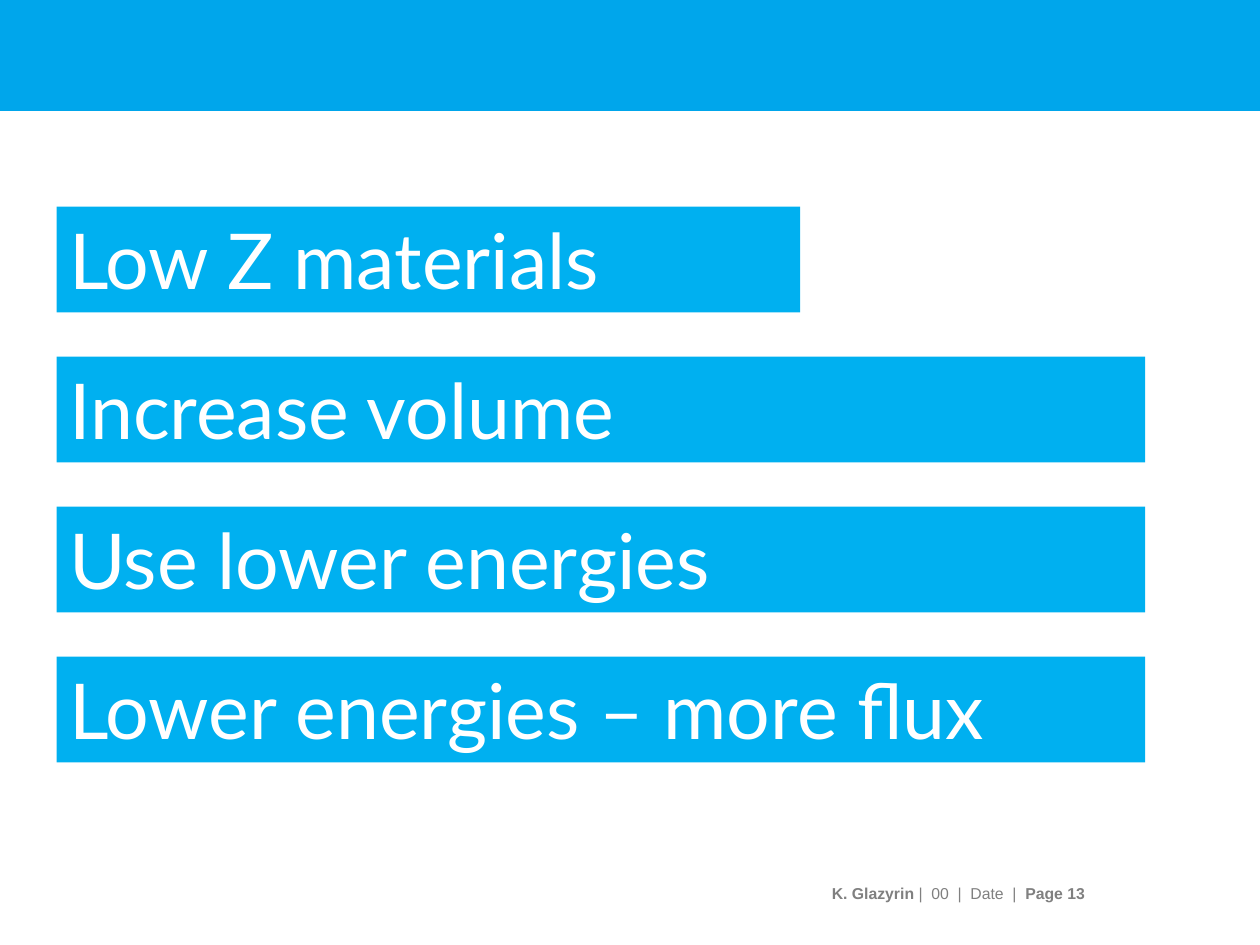
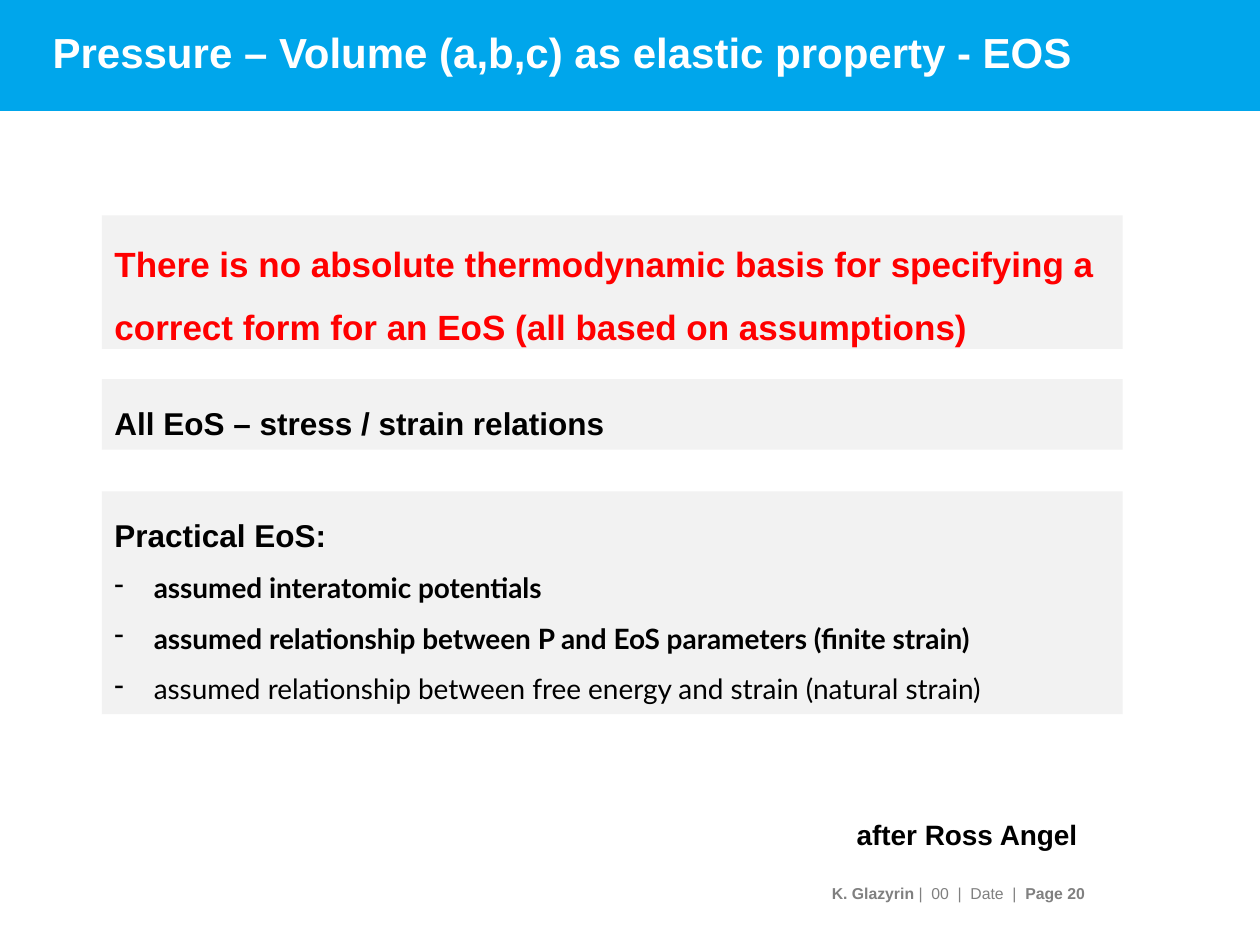
import pptx
import pptx.dml.color
import pptx.enum.shapes
import pptx.enum.text
import pptx.oxml.ns
import pptx.util
from lxml import etree

Pt = pptx.util.Pt
RGB = pptx.dml.color.RGBColor
RECT = pptx.enum.shapes.MSO_SHAPE.RECTANGLE
ANCHOR = pptx.enum.text.MSO_ANCHOR
ALIGN = pptx.enum.text.PP_ALIGN

BAND = RGB(0x00, 0xA6, 0xEB)
SKY = RGB(0x00, 0xB0, 0xF0)
PALE = RGB(0xF2, 0xF2, 0xF2)
GRAY = RGB(0x80, 0x80, 0x80)
RED = RGB(0xFF, 0x00, 0x00)
BLACK = RGB(0x00, 0x00, 0x00)
WHITE = RGB(0xFF, 0xFF, 0xFF)

# Font formats
TITLE = dict(name="Arial", size=Pt(24), bold=True, color=WHITE)
FOOT = dict(name="Arial", size=Pt(9), bold=True, color=GRAY)
STEP = dict(name="Lato", size=Pt(44), bold=False, color=WHITE)
CLAIM = dict(name="Arial", size=Pt(20), bold=True, color=RED)
HEAD = dict(name="Arial", size=Pt(18), bold=True, color=BLACK)
ITEM = dict(name="Lato", size=Pt(16), bold=True, color=BLACK)
CREDIT = dict(ITEM, name="Arial")

# Content
AUTHOR, DATE = "K. Glazyrin ", "|  00  |  Date  |  "

STEPS = [  # text, width
    ("Low Z materials", 424.8),
    ("Increase volume", 622),
    ("Use lower energies", 622),
    ("Lower energies – more flux", 622),
]

EOS = "Pressure – Volume (a,b,c) as elastic property - EOS"
PANELS = [  # top, height, lines of (text, format, bullet)
    (123.1, 76.3, [("There is no absolute thermodynamic basis for specifying a "
                    "correct form for an EoS (all based on assumptions)", CLAIM, False)]),
    (216.7, 40.3, [("All EoS – stress / strain relations", HEAD, False)]),
    (280.8, 127.4, [
        ("Practical EoS:", HEAD, False),
        ("assumed interatomic potentials", ITEM, True),
        ("assumed relationship between P and EoS parameters (finite strain)", ITEM, True),
        ("assumed relationship between free energy and strain (natural strain)",
         dict(ITEM, bold=False), True),
    ]),
]
SOURCE = "after Ross Angel"

# Layout
STEP_X, STEP_Y, STEP_H, PITCH = 32.4, 118.1, 60.5, 85.7
PANEL_X, PANEL_W = 58.3, 583.2
INDENT = 22.5


def style(run, form):
    for key, value in form.items():
        if key == "color":
            run.font.color.rgb = value
        else:
            setattr(run.font, key, value)


def add_run(para, text, form):
    run = para.add_run()
    run.text = text
    style(run, form)


def dash(para):
    """Give the paragraph a hanging dash bullet."""
    props = para._p.get_or_add_pPr()
    props.set("marL", str(Pt(INDENT)))
    props.set("indent", str(-Pt(INDENT)))
    etree.SubElement(props, pptx.oxml.ns.qn("a:buChar"), char="-")


def set_frame(shape, anchor):
    frame = shape.text_frame
    frame.word_wrap = True
    frame.vertical_anchor = anchor
    return frame


def add_box(slide, area, fill, lines=(), space=None):
    """Draw a filled rectangle holding lines of (text, format, bullet)."""
    shape = slide.shapes.add_shape(RECT, *map(Pt, area))
    shape.shadow.inherit = False
    shape.fill.solid()
    shape.fill.fore_color.rgb = fill
    shape.line.fill.background()
    frame = set_frame(shape, ANCHOR.TOP)
    for i, (text, form, bullet) in enumerate(lines):
        para = frame.add_paragraph() if i else frame.paragraphs[0]
        para.alignment = ALIGN.LEFT
        if space:
            para.line_spacing = space
        if bullet:
            dash(para)
        add_run(para, text, form)


def add_label(slide, area, runs, align):
    """Place one middle-anchored line made of (text, format) runs."""
    frame = set_frame(slide.shapes.add_textbox(*map(Pt, area)), ANCHOR.MIDDLE)
    para = frame.paragraphs[0]
    para.alignment = align
    for text, form in runs:
        add_run(para, text, form)
    return frame


def add_page(deck, page, title=None):
    slide = deck.slides.add_slide(deck.slide_layouts[6])
    add_box(slide, (0, 0, 720, 63.4), BAND)
    runs = [(AUTHOR, FOOT), (DATE, dict(FOOT, bold=False)), (f"Page {page}", FOOT)]
    foot = add_label(slide, (22.3, 494.6, 597.6, 31.7), runs, ALIGN.RIGHT)
    foot.margin_right = 0
    if title:
        add_label(slide, (23, 7.9, 671, 43.2), [(title, TITLE)], ALIGN.LEFT)
    return slide


def main():
    deck = pptx.Presentation()
    deck.slide_width, deck.slide_height = Pt(720), Pt(540)

    slide = add_page(deck, 13)
    for i, (text, width) in enumerate(STEPS):
        area = (STEP_X, STEP_Y + i * PITCH, width, STEP_H)
        add_box(slide, area, SKY, [(text, STEP, False)])

    slide = add_page(deck, 20, EOS)
    for top, height, lines in PANELS:
        add_box(slide, (PANEL_X, top, PANEL_W, height), PALE, lines, 1.5)
    add_box(slide, (482.4, 463.7, 148.3, 26.6), WHITE, [(SOURCE, CREDIT, False)])

    deck.save("out.pptx")


if __name__ == "__main__":
    main()
